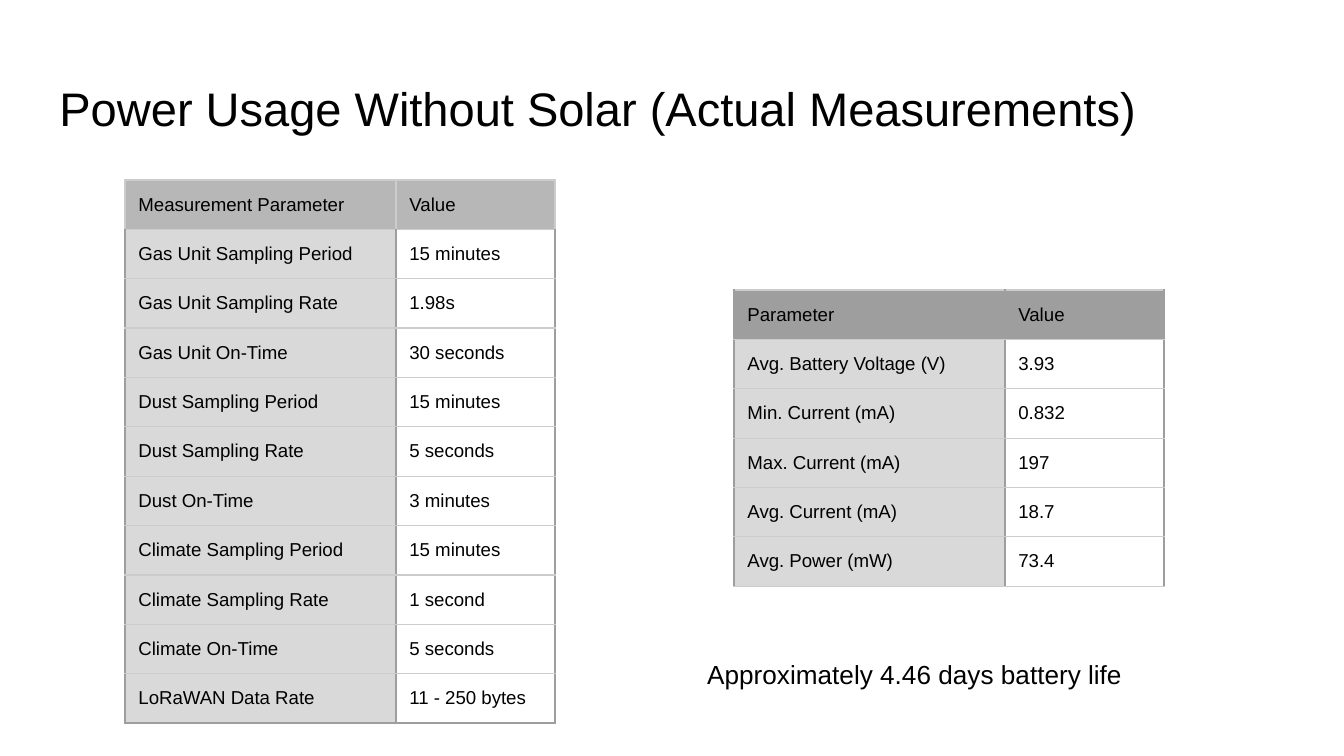
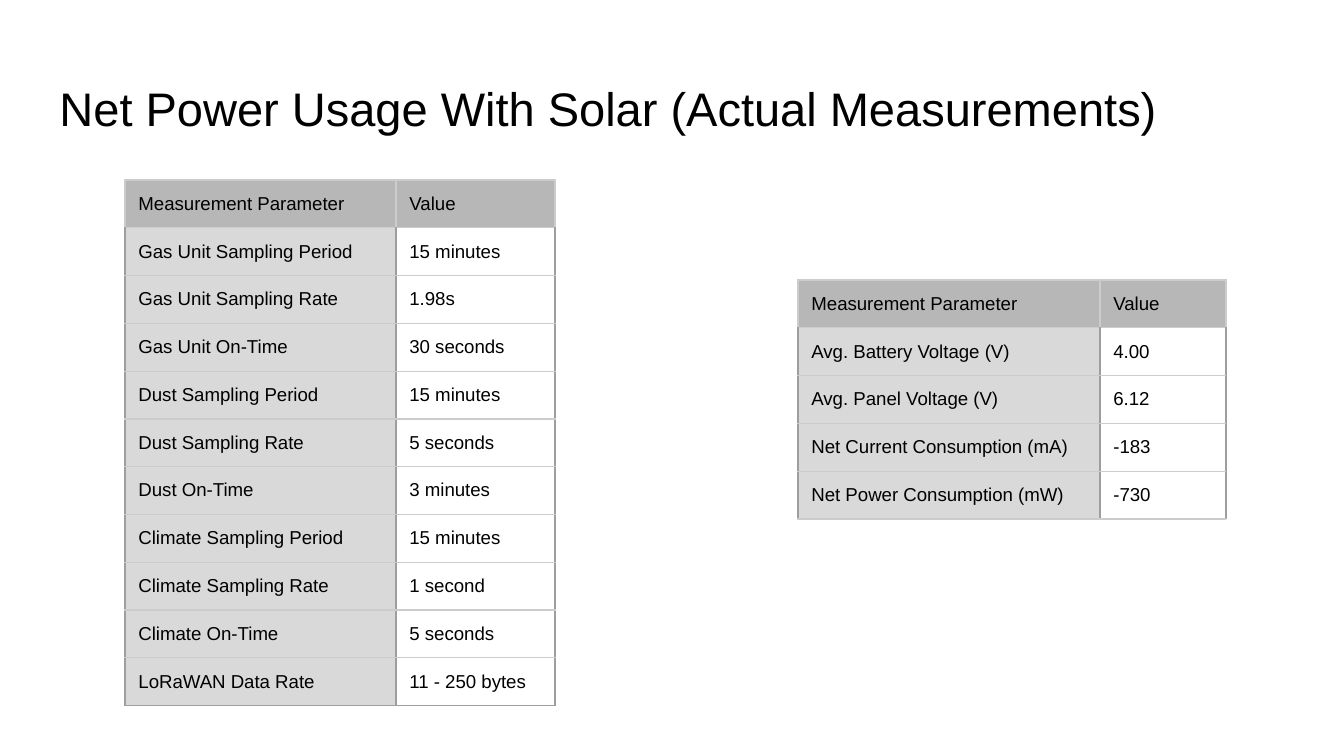
"""Build two slides comparing power usage without and with solar."""
from pptx import Presentation
from pptx import util as u
from pptx.dml.color import RGBColor
from pptx.enum import text
from pptx.oxml.ns import qn
from lxml import etree

SCALE = 6804
FONT = "Arial"
BLACK = RGBColor(0x00, 0x00, 0x00)
DARK = RGBColor(0x9E, 0x9E, 0x9E)
MID = RGBColor(0xB7, 0xB7, 0xB7)
RULE = RGBColor(0xCC, 0xCC, 0xCC)
PALE = RGBColor(0xD9, 0xD9, 0xD9)

SETUP = [
    ("Measurement Parameter", "Value"),
    ("Gas Unit Sampling Period", "15 minutes"),
    ("Gas Unit Sampling Rate", "1.98s"),
    ("Gas Unit On-Time", "30 seconds"),
    ("Dust Sampling Period", "15 minutes"),
    ("Dust Sampling Rate", "5 seconds"),
    ("Dust On-Time", "3 minutes"),
    ("Climate Sampling Period", "15 minutes"),
    ("Climate Sampling Rate", "1 second"),
    ("Climate On-Time", "5 seconds"),
    ("LoRaWAN Data Rate", "11 - 250 bytes"),
]
DRAIN = [
    ("Parameter", "Value"),
    ("Avg. Battery Voltage (V)", "3.93"),
    ("Min. Current (mA)", "0.832"),
    ("Max. Current (mA)", "197"),
    ("Avg. Current (mA)", "18.7"),
    ("Avg. Power (mW)", "73.4"),
]
SOLAR = [
    ("Measurement Parameter", "Value"),
    ("Avg. Battery Voltage (V)", "4.00"),
    ("Avg. Panel Voltage (V)", "6.12"),
    ("Net Current Consumption (mA)", "-183"),
    ("Net Power Consumption (mW)", "-730"),
]


def px(*vals):
    return [u.Emu(v * SCALE) for v in vals]


class Deck:
    """Hold the shared style and the current slide."""

    def __init__(self):
        self.prs = Presentation()
        self.prs.slide_width, self.prs.slide_height = px(1344, 756)

    def style(self, frame, size):
        frame.margin_left = frame.margin_right = u.Inches(0.1)
        frame.margin_top = frame.margin_bottom = u.Inches(0.1)
        frame.word_wrap = True
        self.font(frame, size)

    def font(self, frame, size):
        for para in frame.paragraphs:
            para.alignment = text.PP_ALIGN.LEFT
            for run in para.runs:
                run.font.name = FONT
                run.font.size = u.Pt(size)
                run.font.color.rgb = BLACK

    def slide(self, title):
        self.page = self.prs.slides.add_slide(self.prs.slide_layouts[5])
        head = self.page.shapes.title
        head.left, head.top, head.width, head.height = px(46, 66, 1253, 85)
        frame = head.text_frame
        frame.text = title
        frame.auto_size = text.MSO_AUTO_SIZE.NONE
        frame.vertical_anchor = text.MSO_ANCHOR.TOP
        self.style(frame, 25.2)

    def note(self, words, *box):
        frame = self.page.shapes.add_textbox(*px(*box)).text_frame
        frame.text = words
        self.style(frame, 14)

    def edge(self, cell, side, color):
        props = cell._tc.get_or_add_tcPr()
        line = etree.SubElement(props, qn("a:ln" + side), w=str(u.Pt(0.75)))
        fill = etree.SubElement(line, qn("a:solidFill"))
        etree.SubElement(fill, qn("a:srgbClr"), val=str(color))

    def cell(self, cell, words, fill, edges):
        cell.text = words
        cell.vertical_anchor = text.MSO_ANCHOR.MIDDLE
        cell.margin_left = cell.margin_right = u.Inches(0.1)
        cell.margin_top = cell.margin_bottom = u.Inches(0.1)
        for side, color in zip("LRTB", edges):
            self.edge(cell, side, color)
        if fill is None:
            cell.fill.background()
        else:
            cell.fill.solid()
            cell.fill.fore_color.rgb = fill
        self.font(cell.text_frame, 10)

    def table(self, rows, left, top, cols, high, head=MID, side=RULE, foot=RULE):
        box = px(left, top, sum(cols), high * len(rows))
        grid = self.page.shapes.add_table(len(rows), len(cols), *box).table
        grid.first_row = grid.horz_banding = False
        for col, wide in zip(grid.columns, cols):
            col.width, = px(wide)
        for r, row in enumerate(rows):
            grid.rows[r].height, = px(high)
            wall = DARK if r else side
            base = foot if r == len(rows) - 1 else RULE
            fills = (PALE, None) if r else (head, head)
            for c, words in enumerate(row):
                edges = (wall, wall, RULE, base)
                self.cell(grid.cell(r, c), words, fills[c], edges)


def main():
    deck = Deck()
    deck.slide("Power Usage Without Solar (Actual Measurements)")
    deck.note("Approximately 4.46 days battery life", 694, 645, 511, 59)
    deck.table(SETUP, 125, 180, (271, 159), 49, foot=DARK)
    deck.table(DRAIN, 734, 290, (271, 159), 49, head=DARK, side=DARK)

    deck.slide("Net Power Usage With Solar (Actual Measurements)")
    deck.table(SETUP, 125, 180, (271, 159), 47, foot=DARK)
    deck.table(SOLAR, 798, 280, (302, 126), 47)
    deck.prs.save("out.pptx")


if __name__ == "__main__":
    main()
